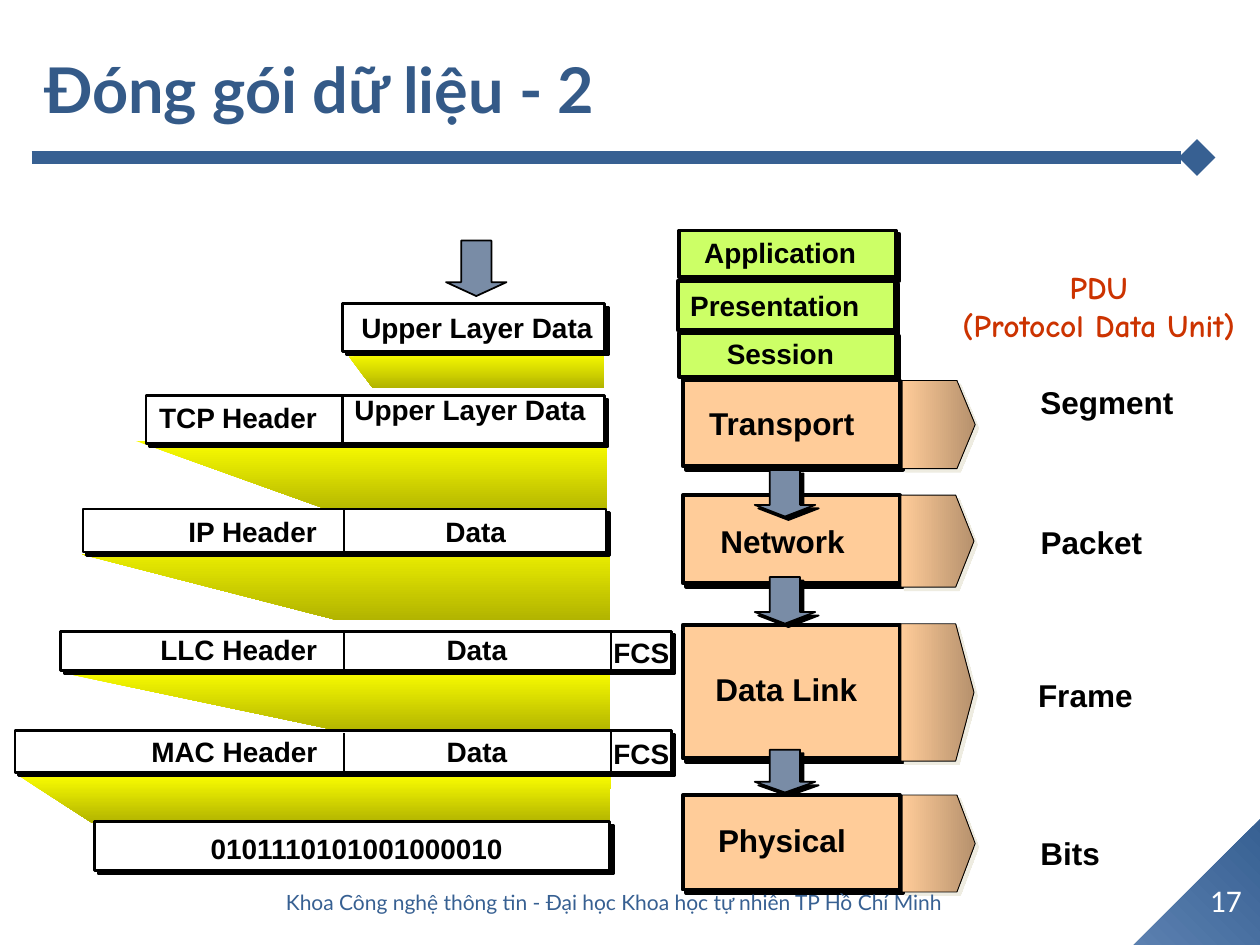
from lxml.etree import SubElement
from pptx import Presentation
from pptx.dml.color import RGBColor as RGB
from pptx.enum.shapes import MSO_CONNECTOR as Link, MSO_SHAPE as Kind
from pptx.enum.text import MSO_ANCHOR as Anchor, MSO_AUTO_SIZE as Fit, PP_ALIGN as Align
from pptx.oxml.ns import qn
from pptx.util import Inches, Pt


class Theme:
    navy, title, pale = "376092", "345A88", "5B80B0"
    black, white, red = "000000", "FFFFFF", "CC3300"
    peach, lime, steel = "FFCC99", "CCFF66", "798CA6"
    yellow, cream = "FAFD00", "EEECE1"
    sans, head, note, num = "Arial", "Lato", "Comic Neue", "Calibri"
    big, mid, small, tiny = 36, 18, 16, 12


def paint(shape, fill, line=None, shade=None, angle=0):
    """Fill and outline a shape; with an angle-and-dark pair, fade the fill to dark."""
    if angle is not None and isinstance(fill, tuple):
        shape.fill.gradient()
        shape.fill.gradient_angle = angle
        for stop, tone in zip(shape.fill.gradient_stops, fill):
            stop.color.rgb = RGB.from_string(tone)
        if fill[0] == fill[1]:
            end = shape._element.xpath(".//a:gs[2]/a:srgbClr")[0]
            SubElement(end, qn("a:shade"), val="46275")
    else:
        shape.fill.solid()
        shape.fill.fore_color.rgb = RGB.from_string(fill)
    if line:
        shape.line.color.rgb = RGB.from_string(Theme.black)
        shape.line.width = Pt(line)
    else:
        shape.line.fill.background()
    shape.shadow.inherit = False
    if shade:
        effects = shape._element.spPr.find(qn("a:effectLst"))
        drop = SubElement(effects, qn("a:outerShdw"), dist=str(Pt(2.83)),
                          dir="2700000", algn="ctr", rotWithShape="0")
        SubElement(drop, qn("a:srgbClr"), val=shade)


def label(at, lines, size, align=None, wrap=False, mid=False,
          font=Theme.sans, tone=Theme.black, bold=True):
    frame = shapes.add_textbox(*map(Inches, at)).text_frame
    frame.word_wrap = wrap
    frame.auto_size = Fit.SHAPE_TO_FIT_TEXT
    frame.vertical_anchor = Anchor.MIDDLE if mid else Anchor.TOP
    for i, line in enumerate(lines.split("\n")):
        para = frame.add_paragraph() if i else frame.paragraphs[0]
        para.alignment = align
        run = para.add_run()
        run.text = line
        run.font.name, run.font.size, run.font.bold = font, Pt(size), bold
        run.font.color.rgb = RGB.from_string(tone)


deck = Presentation()
deck.slide_width, deck.slide_height = Inches(10), Inches(7.5)
slide = deck.slides.add_slide(deck.slide_layouts[5])
shapes = slide.shapes

# Corner, heading and rule
corner = shapes.add_shape(Kind.RIGHT_TRIANGLE, Inches(9), Inches(6.5), Inches(1), Inches(1))
corner.rotation = 270
paint(corner, (Theme.navy, Theme.pale), angle=135)

title = shapes.title
title.left, title.top, title.width, title.height = map(Inches, (0.25, 0.08, 9.57, 1.25))
title.text_frame.vertical_anchor = Anchor.MIDDLE
para = title.text_frame.paragraphs[0]
para.alignment = Align.LEFT
run = para.add_run()
run.text = "Đóng gói dữ liệu - 2"
run.font.name, run.font.size, run.font.bold = Theme.head, Pt(Theme.big), True
run.font.color.rgb = RGB.from_string(Theme.title)

rule = shapes.add_connector(Link.STRAIGHT, Inches(0.25), Inches(1.25), Inches(9.5), Inches(1.25))
rule.line.color.rgb = RGB.from_string(Theme.navy)
rule.line.width = Pt(7)
SubElement(rule._element.spPr.find(qn("a:ln")), qn("a:tailEnd"), type="diamond")
SubElement(rule._element.spPr, qn("a:effectLst"))

# Yellow funnels between the data rows
funnels = [
    [(0.14, 6.15), (0.73, 6.53), (4.84, 6.52), (4.85, 6.16)],
    [(0.65, 4.4), (2.67, 4.92), (4.84, 4.92), (4.84, 4.24)],
    [(1.08, 3.5), (2.7, 4.08), (4.82, 4.07), (4.82, 3.51)],
    [(2.77, 2.83), (2.96, 3.08), (4.8, 3.08), (4.8, 2.8)],
    [(0.5, 5.34), (2.74, 5.81), (4.84, 5.8), (4.84, 5.32)],
]
for points in funnels:
    start, *rest = [(Inches(x), Inches(y)) for x, y in points]
    pen = shapes.build_freeform(*start)
    pen.add_line_segments(rest, close=True)
    paint(pen.convert_to_shape(), (Theme.yellow, Theme.yellow), angle=270)

# Layer stack: box left, top, height; text left, top, width; name
upper = [
    (5.39, 1.83, 0.37, 5.49, 1.82, 1.41, "Application"),
    (5.38, 2.23, 0.39, 5.38, 2.24, 1.63, "Presentation"),
    (5.39, 2.64, 0.35, 5.67, 2.62, 1.05, "Session"),
]
lower = [
    (5.42, 3.02, 0.68, 5.53, 3.16, 1.44, "Transport"),
    (5.42, 3.93, 0.7, 5.62, 4.09, 1.26, "Network"),
    (5.42, 4.96, 1.06, 5.58, 5.27, 1.33, "Data Link"),
    (5.42, 6.31, 0.75, 5.6, 6.47, 1.28, "Physical"),
]
for layers, fill, size, tall in ((lower, Theme.peach, Theme.mid, 0.4),
                                 (upper, Theme.lime, Theme.small, 0.37)):
    for left, top, high, x, y, wide, name in layers:
        box = shapes.add_shape(Kind.RECTANGLE, Inches(left), Inches(top),
                               Inches(1.72), Inches(high))
        paint(box, fill, 2.25, Theme.black)
        label((x, y, wide, tall), name, size)

# Data rows: left, top, width, height
rows = [
    (2.72, 2.41, 2.08, 0.38),
    (1.16, 3.14, 3.64, 0.38),
    (0.66, 4.04, 4.15, 0.34),
    (0.48, 5.01, 4.37, 0.31),
    (0.12, 5.8, 4.73, 0.33),
    (0.75, 6.52, 4.09, 0.39),
    (4.85, 5.01, 0.48, 0.31),
    (4.85, 5.8, 0.48, 0.33),
]
for row in rows:
    box = shapes.add_shape(Kind.RECTANGLE, *map(Inches, row))
    paint(box, Theme.white, 1.5, Theme.black)

for x, top, end in ((2.72, 3.14, 3.51), (2.73, 4.05, 4.41),
                    (2.73, 5.01, 5.31), (2.73, 5.82, 6.14)):
    split = shapes.add_connector(Link.STRAIGHT, Inches(x), Inches(top), Inches(x), Inches(end))
    split.line.color.rgb = RGB.from_string(Theme.black)
    split.line.width = Pt(1.5)
    SubElement(split._element.spPr, qn("a:effectLst"))

# Row text: left, top, width, wrap, words
texts = [
    (2.66, 2.41, 2.25, True, "Upper Layer Data"),
    (2.37, 3.06, 2.72, True, "Upper Layer Data"),
    (1.16, 3.13, 1.46, False, "TCP Header"),
    (2.78, 4.03, 1.99, True, "Data"),
    (1.39, 4.03, 1.23, False, "IP Header"),
    (2.8, 4.97, 1.97, True, "Data"),
    (1.17, 4.97, 1.45, False, "LLC Header"),
    (4.68, 4.99, 0.82, True, "FCS"),
    (2.86, 5.78, 1.85, True, "Data"),
    (1.1, 5.78, 1.52, False, "MAC Header"),
    (4.68, 5.79, 0.82, True, "FCS"),
    (1.56, 6.55, 2.54, False, "0101110101001000010"),
]
for x, y, wide, wrap, words in texts:
    label((x, y, wide, 0.37), words, Theme.small, Align.CENTER, wrap, mid=True)

# Down arrows: left, top, height, shadow
for x, y, high, shade in ((3.54, 1.91, 0.44, None), (5.99, 3.73, 0.37, Theme.black),
                          (5.99, 4.58, 0.37, Theme.black), (5.99, 5.95, 0.34, Theme.black)):
    arrow = shapes.add_shape(Kind.DOWN_ARROW, Inches(x), Inches(y), Inches(0.48), Inches(high))
    arrow.adjustments[0], arrow.adjustments[1] = 0.5, 0.25
    paint(arrow, Theme.steel, 1, shade)

# Pointers and the unit of each layer: left, top, height; text left, top, width; name
units = [
    (7.16, 3.02, 0.7, 8.16, 2.99, 1.26, "Segment"),
    (7.15, 3.93, 0.73, 8.16, 4.1, 1.01, "Packet"),
    (7.15, 4.95, 1.09, 8.14, 5.32, 0.95, "Frame"),
    (7.16, 6.31, 0.77, 8.16, 6.57, 0.67, "Bits"),
]
for left, top, high, x, y, wide, name in units:
    tag = shapes.add_shape(Kind.PENTAGON, Inches(left), Inches(top), Inches(0.58), Inches(high))
    tag.adjustments[0] = 0.25
    paint(tag, (Theme.peach, Theme.peach), 0.5, Theme.cream)
    label((x, y, wide, 0.4), name, Theme.mid)

label((7.4, 2.08, 2.64, 0.7), "PDU\n(Protocol Data Unit)", Theme.mid, Align.CENTER,
      font=Theme.note, tone=Theme.red)

# Page number and footer
label((9.46, 6.94, 0.54, 0.4), "17", Theme.mid, Align.CENTER, True, True,
      Theme.num, Theme.white, False)
label((1.25, 6.96, 7.25, 0.4),
      "Khoa Công nghệ thông tin - Đại học Khoa học tự nhiên TP Hồ Chí Minh",
      Theme.tiny, Align.CENTER, True, True, Theme.head, Theme.navy, False)

deck.save("out.pptx")
